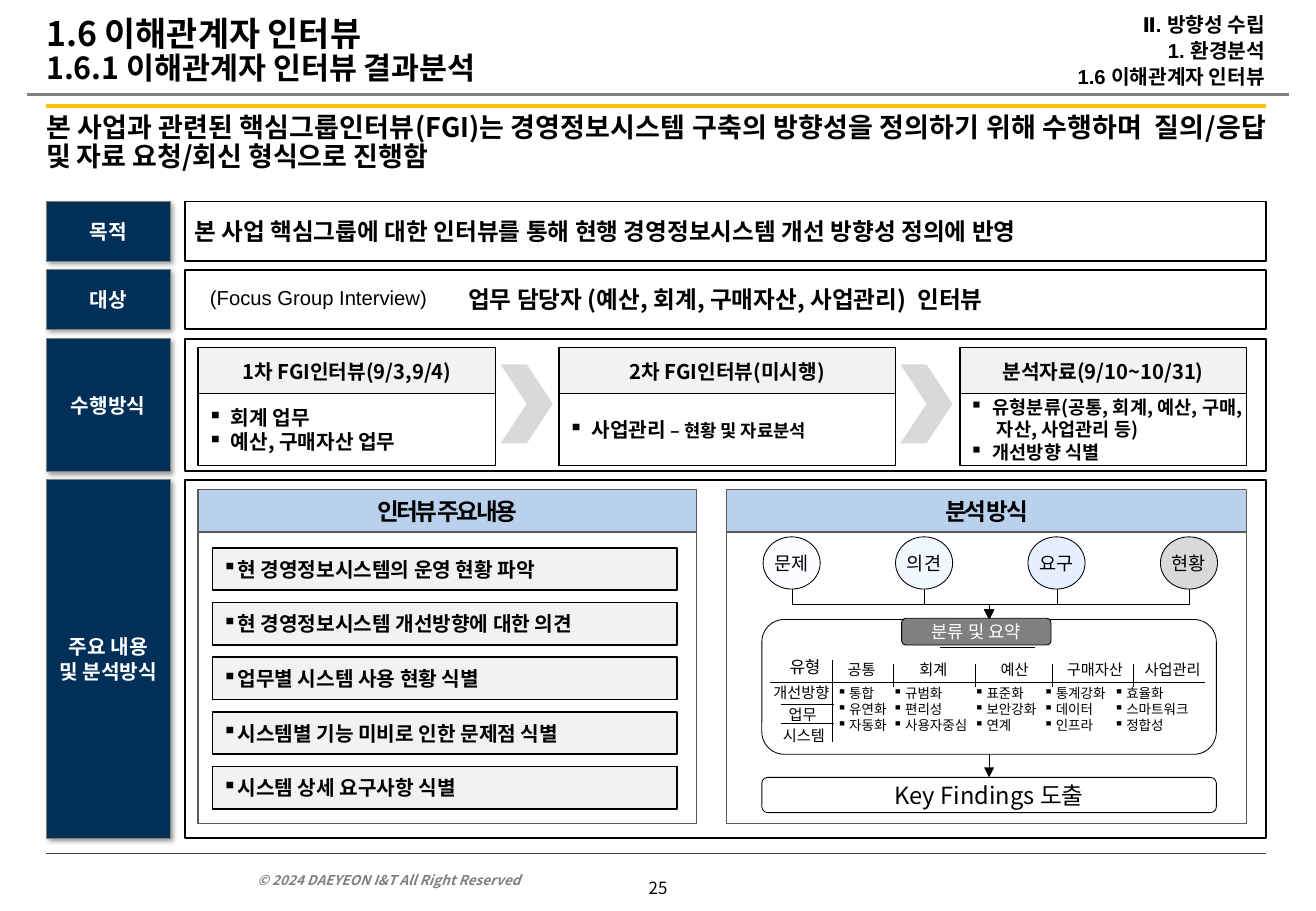
"""Build the stakeholder interview analysis slide."""
import pptx
import pptx.chart.data
import pptx.dml.color
import pptx.enum.shapes
import pptx.enum.text
import pptx.oxml
import pptx.oxml.ns
import pptx.util
from lxml import etree

Inches, Pt = pptx.util.Inches, pptx.util.Pt
SHAPES = pptx.enum.shapes.MSO_SHAPE
CONNECTORS = pptx.enum.shapes.MSO_CONNECTOR
ALIGN = {"l": pptx.enum.text.PP_ALIGN.LEFT, "c": pptx.enum.text.PP_ALIGN.CENTER,
         "r": pptx.enum.text.PP_ALIGN.RIGHT, "j": pptx.enum.text.PP_ALIGN.JUSTIFY}
ANCHOR = {"t": pptx.enum.text.MSO_ANCHOR.TOP, "m": pptx.enum.text.MSO_ANCHOR.MIDDLE,
          "b": pptx.enum.text.MSO_ANCHOR.BOTTOM}
KOREAN, LATIN = "Noto Sans CJK KR", "Arial"
NORMAL, TIGHT, NONE = (0.1, 0.05), (0.08, 0.04), (0, 0)

TITLE = [[("1.6 이해관계자 인터뷰", 20)], [("1.6.1 이해관계자 인터뷰 결과분석", 18)]]
TRAIL = ["Ⅱ. 방향성 수립", "1. 환경분석", "1.6 이해관계자 인터뷰"]
MESSAGE = ("본 사업과 관련된 핵심그룹인터뷰(FGI)는 경영정보시스템 구축의 방향성을 정의하기 위해 "
           "수행하며  질의/응답 및 자료 요청/회신 형식으로 진행함")
COPYRIGHT = "© 2024 DAEYEON I&T All Right Reserved"
SECTIONS = [
    ("목적", 1.66, 0.49, "본 사업 핵심그룹에 대한 인터뷰를 통해 현행 경영정보시스템 개선 방향성 정의에 반영", "l"),
    ("대상", 2.22, 0.49, "업무 담당자 (예산, 회계, 구매자산, 사업관리)  인터뷰", "c"),
    ("수행방식", 2.79, 1.09, "", "c"),
    ("주요 내용 및 분석방식", 3.95, 2.95, "", "c"),
]
STEPS = [
    ("1차 FGI인터뷰(9/3,9/4)", 1.63, 2.45, 12, ["회계 업무", "예산, 구매자산 업무"]),
    ("2차 FGI인터뷰(미시행)", 4.6, 2.77, 12, [[("사업관리 ", 12), ("– 현황 및 자료분석", 10.5)]]),
    ("분석자료(9/10~10/31)", 7.9, 2.36, 11,
     ["유형분류(공통, 회계, 예산, 구매, 자산, 사업관리 등)", "개선방향 식별"]),
]
PANELS = [("인터뷰 주요내용", 1.63, 4.1), ("분석 방식", 5.98, 4.28)]
TOPICS = ["현 경영정보시스템의 운영 현황 파악", "현 경영정보시스템 개선방향에 대한 의견",
          "업무별 시스템 사용 현황 식별", "시스템별 기능 미비로 인한 문제점 식별",
          "시스템 상세 요구사항 식별"]
INPUTS = [("문제", "FAFCFF"), ("의견", "F2F8FF"), ("요구", "E5EFFE"), ("현황", "D9D9D9")]
COLUMNS = [
    ("공통", 6.85, 0.48, 6.79, ["통합", "유연화", "자동화"]),
    ("회계", 7.37, 0.62, 7.25, ["규범화", "편리성", "사용자중심"]),
    ("예산", 8.09, 0.52, 7.92, ["표준화", "보안강화", "연계"]),
    ("구매자산", 8.63, 0.76, 8.49, ["통계강화", "데이터", "인프라"]),
    ("사업관리", 9.27, 0.76, 9.07, ["효율화", "스마트워크", "정합성"]),
]
CATEGORIES = ["개선방향", "업무", "시스템"]
GRID_LINES = [(6.34, 5.62, 9.92, 5.62), (6.85, 5.43, 6.85, 6.11),
              (6.43, 5.8, 6.86, 5.8), (6.43, 5.96, 6.86, 5.96), (7.74, 5.33, 8.52, 5.33)]
GRID_LINES += [(x, 5.47, x, 5.66) for x in (7.35, 8.03, 8.66, 9.33)]

deck = pptx.Presentation()
deck.slide_width, deck.slide_height = Inches(10.83), Inches(7.5)
page = deck.slides.add_slide(deck.slide_layouts[6])


def color(value):
    return pptx.dml.color.RGBColor.from_string(value)


def child(parent, tag, **attributes):
    return etree.SubElement(parent, pptx.oxml.ns.qn(tag), attributes)


def write(shape, paragraphs, size=12, ink="000000", bold=False, italic=False, font=KOREAN,
          align="l", anchor="m", inset=NORMAL, hang=0, leading=None, before=0,
          spacing=0, wrap=True):
    frame = shape.text_frame
    frame.word_wrap = wrap
    frame.vertical_anchor = ANCHOR[anchor]
    frame.margin_left = frame.margin_right = Inches(inset[0])
    frame.margin_top = frame.margin_bottom = Inches(inset[1])
    for index, content in enumerate(paragraphs):
        para = frame.add_paragraph() if index else frame.paragraphs[0]
        para.alignment = ALIGN[align]
        if leading:
            para.line_spacing = leading
        if before and index:
            para.space_before = Pt(before)
        if hang:
            properties = para._p.get_or_add_pPr()
            properties.set("marL", str(Inches(hang)))
            properties.set("indent", str(-Inches(hang)))
            child(properties, "a:buChar", char="▪")
        pieces = [(content, size)] if isinstance(content, str) else content
        for words, points in pieces:
            span = para.add_run()
            span.text = words
            span.font.size, span.font.bold, span.font.italic = Pt(points), bold, italic
            span.font.name = font
            span.font.color.rgb = color(ink)
            child(span._r.get_or_add_rPr(), "a:ea", typeface=KOREAN)
            if spacing:
                span._r.get_or_add_rPr().set("spc", str(spacing))


def label(at, paragraphs, **style):
    box = page.shapes.add_textbox(*map(Inches, at))
    write(box, paragraphs, **style)


def block(at, fill, line="000000", weight=0.5, paragraphs=(), kind=SHAPES.RECTANGLE, **style):
    shape = page.shapes.add_shape(kind, *map(Inches, at))
    shape.shadow.inherit = False
    shape.fill.solid()
    shape.fill.fore_color.rgb = color(fill)
    if line:
        shape.line.color.rgb = color(line)
        shape.line.width = Pt(weight)
    else:
        shape.line.fill.background()
    if paragraphs:
        write(shape, paragraphs, **style)
    return shape


def cast_shadow(shape):
    effects = shape._element.spPr.find(pptx.oxml.ns.qn("a:effectLst"))
    shadow = child(effects, "a:outerShdw", blurRad=str(Pt(3)), dist=str(Pt(2)),
                   dir="2700000", algn="tl", rotWithShape="0")
    child(child(shadow, "a:srgbClr", val="000000"), "a:alpha", val="40000")


def connect(ends, ink="000000", weight=0.5, arrow=False, kind=CONNECTORS.STRAIGHT):
    line = page.shapes.add_connector(kind, *map(Inches, ends))
    line.line.color.rgb = color(ink)
    line.line.width = Pt(weight)
    if arrow:
        child(line.line._get_or_add_ln(), "a:tailEnd", type="triangle")
    child(line._element.spPr, "a:effectLst")
    return line


def elbow_down(x1, y1, x2, y2):
    line = connect((x1, y1, x2, y2), arrow=True, kind=CONNECTORS.ELBOW)
    across, down = abs(x2 - x1), y2 - y1
    line.left, line.top = Inches((x1 + x2 - down) / 2), Inches((y1 + y2 - across) / 2)
    line.width, line.height = Inches(down), Inches(across)
    frame = line._element.spPr.find(pptx.oxml.ns.qn("a:xfrm"))
    frame.attrib.pop("flipH", None)
    frame.set("rot", "16200000" if x2 > x1 else "5400000")
    if x2 > x1:
        frame.set("flipH", "1")


connect((0.22, 0.78, 10.61, 0.78), "808080", 1.5)
connect((0.38, 0.87, 10.42, 0.87), "FFC000", 2.5)
connect((0.38, 7.03, 10.42, 7.03), "404040")
label((2.02, 7.09, 3.02, 0.27), [COPYRIGHT], size=8, ink="808080", bold=True, italic=True, anchor="b")
label((5.24, 7.18, 0.35, 0.27), ["25"], size=10, align="c", anchor="t", inset=(0.06, 0.05), wrap=False)
label((0.38, 0, 4.49, 0.85), TITLE, bold=True, inset=NONE, leading=0.9)
label((6.87, 0, 3.54, 0.86), TRAIL, bold=True, font=LATIN, align="r", inset=(0, 0.05), leading=0.9, before=2.4)
label((0.38, 0.94, 10.04, 0.68), [MESSAGE], size=16, bold=True, align="j", anchor="t", inset=NONE, leading=0.9)

for name, top, height, detail, align in SECTIONS:
    cast_shadow(block((0.38, top, 1.02, height), "003058", "808080", 0.5, [name],
                      ink="FFFFFF", bold=True, font=LATIN, align="c"))
    block((1.52, top, 8.9, height), "FFFFFF", weight=1, paragraphs=[detail] if detail else (),
          size=14, bold=True, align=align, inset=TIGHT)
label((1.63, 2.3, 2, 0.3), ["(Focus Group Interview)"], font=LATIN, anchor="t", wrap=False)

for name, left, width, size, items in STEPS:
    block((left, 2.86, width, 0.39), "F2F2F2", weight=0.75, paragraphs=[name],
          bold=True, align="c", inset=TIGHT)
    block((left, 3.24, width, 0.59), "FFFFFF", weight=0.75, paragraphs=items,
          size=size, bold=True, inset=TIGHT, hang=0.19)
for name, left, width, size, items in STEPS[:-1]:
    block((left + width + 0.04, 3, 0.43, 0.65), "D9D9D9", None, kind=SHAPES.CHEVRON)

for name, left, width in PANELS:
    block((left, 4.38, width, 2.4), "FFFFFF", "595959", 0.75)
    block((left, 4.03, width, 0.35), "B9D1ED", "595959", 0.75, [name], size=14, bold=True,
          align="c", inset=(0.04, 0.04), leading=1.05, spacing=-150)
for index, topic in enumerate(TOPICS):
    block((1.75, 4.51 + 0.45 * index, 3.82, 0.35), "F2F2F2", weight=1, paragraphs=[topic],
          bold=True, inset=TIGHT, hang=0.1)

block((6.27, 5.1, 3.74, 1.11), "FFFFFF", kind=SHAPES.ROUNDED_RECTANGLE)
for index, (name, fill) in enumerate(INPUTS):
    left = 6.28 + 1.09 * index
    block((left, 4.42, 0.47, 0.43), fill, paragraphs=[name], kind=SHAPES.OVAL,
          size=11, align="c", inset=(0, 0.04))
    elbow_down(left + 0.24, 4.85, 8.14, 5.1)
block((6.27, 6.4, 3.74, 0.29), "FFFFFF", paragraphs=["Key Findings 도출"],
      kind=SHAPES.ROUNDED_RECTANGLE, size=14, align="c")
connect((8.14, 6.21, 8.14, 6.4), arrow=True)
block((7.42, 5.09, 1.23, 0.22), "808080", paragraphs=["분류 및 요약"],
      kind=SHAPES.ROUNDED_RECTANGLE, size=10.5, ink="FFFFFF", align="c")

for ends in GRID_LINES:
    connect(ends)
label((6.36, 5.36, 0.53, 0.27), ["유형"], size=10, align="c", anchor="t")
for name, left, width, list_left, items in COLUMNS:
    label((left, 5.39, width, 0.25), [name], size=9, align="c", anchor="t")
    label((list_left, 5.59, 0.98, 0.5), items, size=8, anchor="t", hang=0.1)
for index, name in enumerate(CATEGORIES):
    label((6.23 + 0.01 * index, 5.58 + 0.175 * index, 0.73, 0.25), [name], size=9, align="c", anchor="t")

deck.save("out.pptx")
